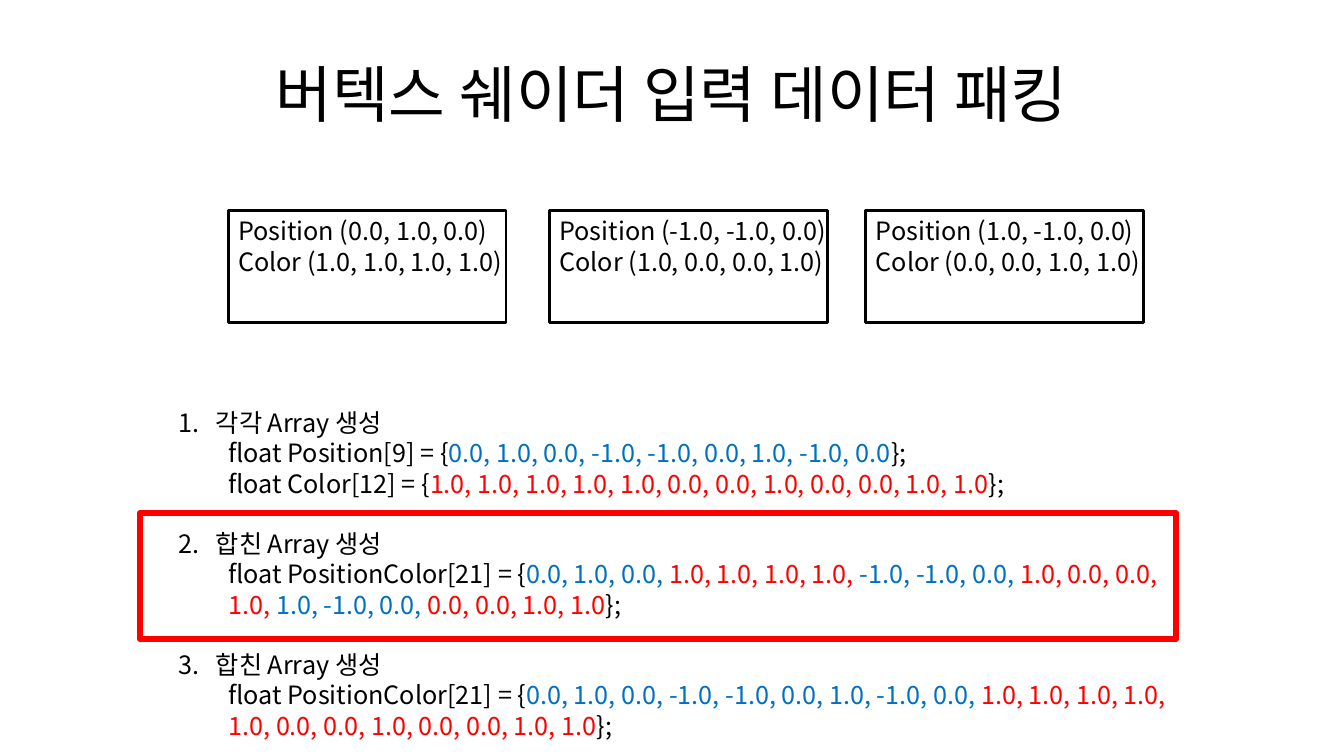
"""Build the slide on packing vertex shader input data."""
from dataclasses import dataclass

from lxml.etree import SubElement
from pptx import Presentation
from pptx.dml.color import RGBColor
from pptx.enum.shapes import MSO_SHAPE
from pptx.enum.text import MSO_ANCHOR, MSO_AUTO_SIZE, PP_ALIGN
from pptx.oxml.ns import qn
from pptx.util import Pt


@dataclass(frozen=True)
class Theme:
    """Font, type sizes and colours."""
    font: str = "Noto Sans CJK KR"
    title: float = 44
    text: float = 18
    leading: float = 21.6
    ink: str = "000000"
    paper: str = "FFFFFF"
    position: str = "0070C0"
    color: str = "FF0000"


THEME = Theme()
TITLE = "버텍스 쉐이더 입력 데이터 패킹"
VERTICES = [
    (163, "Position (0.0, 1.0, 0.0)", "Color (1.0, 1.0, 1.0, 1.0)"),
    (392.5, "Position (-1.0, -1.0, 0.0)", "Color (1.0, 0.0, 0.0, 1.0)"),
    (618.5, "Position (1.0, -1.0, 0.0)", "Color (0.0, 0.0, 1.0, 1.0)"),
]
INK, POS, COL = THEME.ink, THEME.position, THEME.color
METHODS = [
    ("각각 Array 생성", [
        [("float Position[9] = {", INK),
         ("0.0, 1.0, 0.0, -1.0, -1.0, 0.0, 1.0, -1.0, 0.0", POS),
         ("};", INK)],
        [("float Color[12] = {", INK),
         ("1.0, 1.0, 1.0, 1.0, 1.0, 0.0, 0.0, 1.0, 0.0, 0.0, 1.0, 1.0", COL),
         ("};", INK)],
    ]),
    ("합친 Array 생성", [
        [("float PositionColor[21] = {", INK),
         ("0.0, 1.0, 0.0, ", POS), ("1.0, 1.0, 1.0, 1.0, ", COL),
         ("-1.0, -1.0, 0.0, ", POS), ("1.0, 0.0, 0.0, 1.0, ", COL),
         ("1.0, -1.0, 0.0, ", POS), ("0.0, 0.0, 1.0, 1.0", COL),
         ("};", INK)],
    ]),
    ("합친 Array 생성", [
        [("float PositionColor[21] = {", INK),
         ("0.0, 1.0, 0.0, -1.0, -1.0, 0.0, 1.0, -1.0, 0.0, ", POS),
         ("1.0, 1.0, 1.0, 1.0, 1.0, 0.0, 0.0, 1.0, 0.0, 0.0, 1.0, 1.0", COL),
         ("};", INK)],
    ]),
]
CARD_TOP, CARD_WIDTH, CARD_HEIGHT = 150.5, 198.5, 80
LABEL_WIDTH, LABEL_HEIGHT = 221, 51
TITLE_BOX = (48, 21.6, 864, 90)
METHODS_BOX = (120, 287.5, 720, 247)
HIGHLIGHT_BOX = (100, 366.5, 740, 90)


def place(part, box):
    """Move and size a placeholder."""
    part.left, part.top, part.width, part.height = map(Pt, box)


def add_run(paragraph, words, size=THEME.text, color=THEME.ink):
    """Add one formatted run for Latin and Korean text."""
    run = paragraph.add_run()
    run.text = words
    run.font.size = Pt(size)
    run.font.color.rgb = RGBColor.from_string(color)
    run.font.name = THEME.font
    SubElement(run.font._element, qn("a:ea"), typeface=THEME.font)


def add_line(frame, first, runs, gap=0):
    """Add one left-aligned line of text at the common leading."""
    line = frame.paragraphs[0] if first else frame.add_paragraph()
    line.alignment = PP_ALIGN.LEFT
    line.line_spacing = Pt(THEME.leading)
    line.space_before = Pt(gap)
    for words, color in runs:
        add_run(line, words, color=color)
    return line


def add_frame(slide, box, color, weight, fill=None):
    """Add an outlined rectangle."""
    frame = slide.shapes.add_shape(MSO_SHAPE.RECTANGLE, *map(Pt, box))
    frame.shadow.inherit = False
    if fill:
        frame.fill.solid()
        frame.fill.fore_color.rgb = RGBColor.from_string(fill)
    else:
        frame.fill.background()
    frame.line.color.rgb = RGBColor.from_string(color)
    frame.line.width = Pt(weight)


def indent(line, left, hanging=0, number=None):
    """Set the indent and the number of a list line."""
    properties = line._p.get_or_add_pPr()
    properties.set("marL", str(Pt(left)))
    properties.set("indent", str(-Pt(hanging)))
    if number:
        SubElement(properties, qn("a:buFont"), typeface="+mj-lt")
        SubElement(properties, qn("a:buAutoNum"), type="arabicPeriod", startAt=str(number))
    else:
        SubElement(properties, qn("a:buNone"))


def fill_methods(frame):
    """Write the numbered packing methods and their code."""
    frame.word_wrap = True
    frame.auto_size = MSO_AUTO_SIZE.NONE
    frame.vertical_anchor = MSO_ANCHOR.TOP
    frame.margin_right = 0
    for number, (heading, code) in enumerate(METHODS, 1):
        first = number == 1
        gap = 0 if first else THEME.leading
        indent(add_line(frame, first, [(heading, THEME.ink)], gap), 27, 27, number)
        for runs in code:
            line = add_line(frame, False, runs)
            line.level = 1
            indent(line, 36)


def main():
    """Compose and save the slide."""
    deck = Presentation()
    deck.slide_width, deck.slide_height = Pt(960), Pt(540)
    slide = deck.slides.add_slide(deck.slide_layouts[1])
    title, methods = slide.placeholders

    place(title, TITLE_BOX)
    title.text_frame.vertical_anchor = MSO_ANCHOR.MIDDLE
    heading = title.text_frame.paragraphs[0]
    heading.alignment = PP_ALIGN.CENTER
    add_run(heading, TITLE, THEME.title)

    place(methods, METHODS_BOX)
    fill_methods(methods.text_frame)

    for left, *attributes in VERTICES:
        add_frame(slide, (left, CARD_TOP, CARD_WIDTH, CARD_HEIGHT), THEME.ink, 2, THEME.paper)
        label = slide.shapes.add_textbox(
            *map(Pt, (left, CARD_TOP, LABEL_WIDTH, LABEL_HEIGHT))).text_frame
        label.word_wrap = True
        for row, attribute in enumerate(attributes):
            add_line(label, row == 0, [(attribute, THEME.ink)])

    add_frame(slide, HIGHLIGHT_BOX, THEME.color, 4.5)
    deck.save("out.pptx")


if __name__ == "__main__":
    main()
